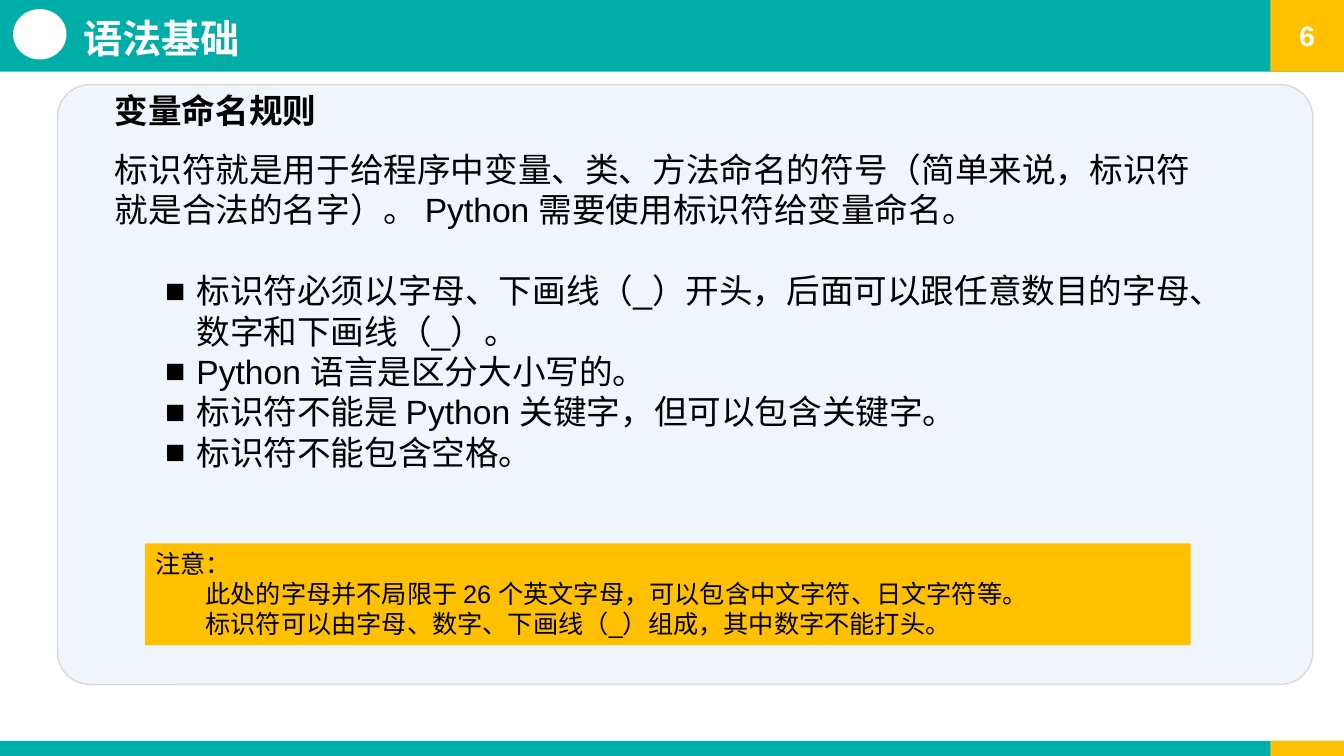
from lxml.etree import SubElement
from pptx import Presentation
from pptx.dml.color import RGBColor
from pptx.enum.shapes import MSO_SHAPE as Shape
from pptx.enum.text import MSO_ANCHOR as Anchor, PP_ALIGN as Align
from pptx.oxml.ns import qn
from pptx.util import Inches, Pt

# Content
TITLE = "语法基础"
PAGE_NUMBER = "6"
HEADING = "变量命名规则"
INTRO = ("标识符就是用于给程序中变量、类、方法命名的符号（简单来说，标识符就是合法的名字）。"
         " Python 需要使用标识符给变量命名。")
RULES = [
    "标识符必须以字母、下画线（_）开头，后面可以跟任意数目的字母、数字和下画线（_）。",
    "Python 语言是区分大小写的。",
    "标识符不能是 Python 关键字，但可以包含关键字。",
    "标识符不能包含空格。",
]
NOTE_LABEL = "注意："
NOTES = [
    "此处的字母并不局限于 26 个英文字母，可以包含中文字符、日文字符等。",
    "标识符可以由字母、数字、下画线（_）组成，其中数字不能打头。",
]


class Theme:
    teal, amber, white, black = "00AEA9", "FFC000", "FFFFFF", "000000"
    card, card_line, card_opacity = "5B9BD5", "D9D9D9", 9
    latin, chinese = "Arial", "Noto Sans CJK SC"
    title, body, number, note = 28, 24, 20, 18


WIDTH, HEIGHT = 13.33, 7.5
HEADER_HEIGHT, FOOTER_HEIGHT = 0.71, 0.15
CORNER_LEFT = 12.6

deck = Presentation()
deck.slide_width, deck.slide_height = Inches(WIDTH), Inches(HEIGHT)
page = deck.slides.add_slide(deck.slide_layouts[6])


def add_box(kind, left, top, width, height, fill, line=None, opacity=None):
    box = page.shapes.add_shape(kind, *map(Inches, (left, top, width, height)))
    box.shadow.inherit = False
    box.fill.solid()
    box.fill.fore_color.rgb = RGBColor.from_string(fill)
    if opacity is not None:
        color = box.fill._xPr.find(qn("a:solidFill"))[0]
        SubElement(color, qn("a:alpha"), val=str(opacity * 1000))
    if line:
        box.line.color.rgb = RGBColor.from_string(line)
        box.line.width = Pt(1)
    else:
        box.line.fill.background()
    return box


def add_text_box(left, top, width, height):
    box = page.shapes.add_textbox(*map(Inches, (left, top, width, height)))
    box.text_frame.word_wrap = True
    return box


def write(box, text, size, color=Theme.black, bold=False, font=Theme.latin,
          align=Align.LEFT, margin=0, indent=0, bullet=None, before=0):
    """Fill the first paragraph of a box, or add one after it."""
    frame = box.text_frame
    para = frame.add_paragraph() if frame.text else frame.paragraphs[0]
    para.alignment = align
    para.space_before = Pt(before)
    props = para._p.get_or_add_pPr()
    props.set("marL", str(Inches(margin)))
    props.set("indent", str(Inches(indent)))
    if bullet:
        SubElement(props, qn("a:buFont"), typeface=Theme.latin)
        SubElement(props, qn("a:buChar"), char=bullet)
    span = para.add_run()
    span.text = text
    span.font.size, span.font.bold, span.font.name = Pt(size), bold, font
    span.font.color.rgb = RGBColor.from_string(color)
    span_props = span._r.get_or_add_rPr()
    span_props.set("lang", "zh-CN")
    SubElement(span_props, qn("a:ea"), typeface=Theme.chinese)


# Footer and header bars, each with an amber corner
for top, height in ((HEIGHT - FOOTER_HEIGHT, FOOTER_HEIGHT), (0, HEADER_HEIGHT)):
    add_box(Shape.RECTANGLE, 0, top, WIDTH, height, Theme.teal)
    corner = add_box(Shape.RECTANGLE, CORNER_LEFT, top, WIDTH - CORNER_LEFT, height,
                     Theme.amber)
corner.text_frame.vertical_anchor = Anchor.MIDDLE
write(corner, PAGE_NUMBER, Theme.number, color=Theme.white, bold=True, align=Align.CENTER)

# Header badge and title
add_box(Shape.OVAL, 0.13, 0.09, 0.53, 0.5, Theme.white)
title = add_text_box(0.73, 0.09, 7.68, 0.57)
write(title, TITLE, Theme.title, color=Theme.white, bold=True, font=Theme.chinese)

# Card with heading, introduction and rules
card = add_box(Shape.ROUNDED_RECTANGLE, 0.57, 0.84, 12.45, 5.95, Theme.card,
               line=Theme.card_line, opacity=Theme.card_opacity)
card.adjustments[0] = 0.054
heading = add_text_box(1.04, 0.84, 2.23, 0.5)
write(heading, HEADING, Theme.body, bold=True)
body = add_text_box(1.04, 1.43, 11.15, 3.74)
write(body, INTRO, Theme.body)
for index, rule in enumerate(RULES):
    write(body, rule, Theme.body, margin=0.81, indent=-0.31, bullet="■",
          before=0 if index else 29)

# Note
note = add_box(Shape.RECTANGLE, 1.44, 5.39, 10.37, 1.01, Theme.amber)
note.text_frame.vertical_anchor = Anchor.TOP
write(note, NOTE_LABEL, Theme.note)
for line in NOTES:
    write(note, line, Theme.note, margin=0.5)

deck.save("out.pptx")
